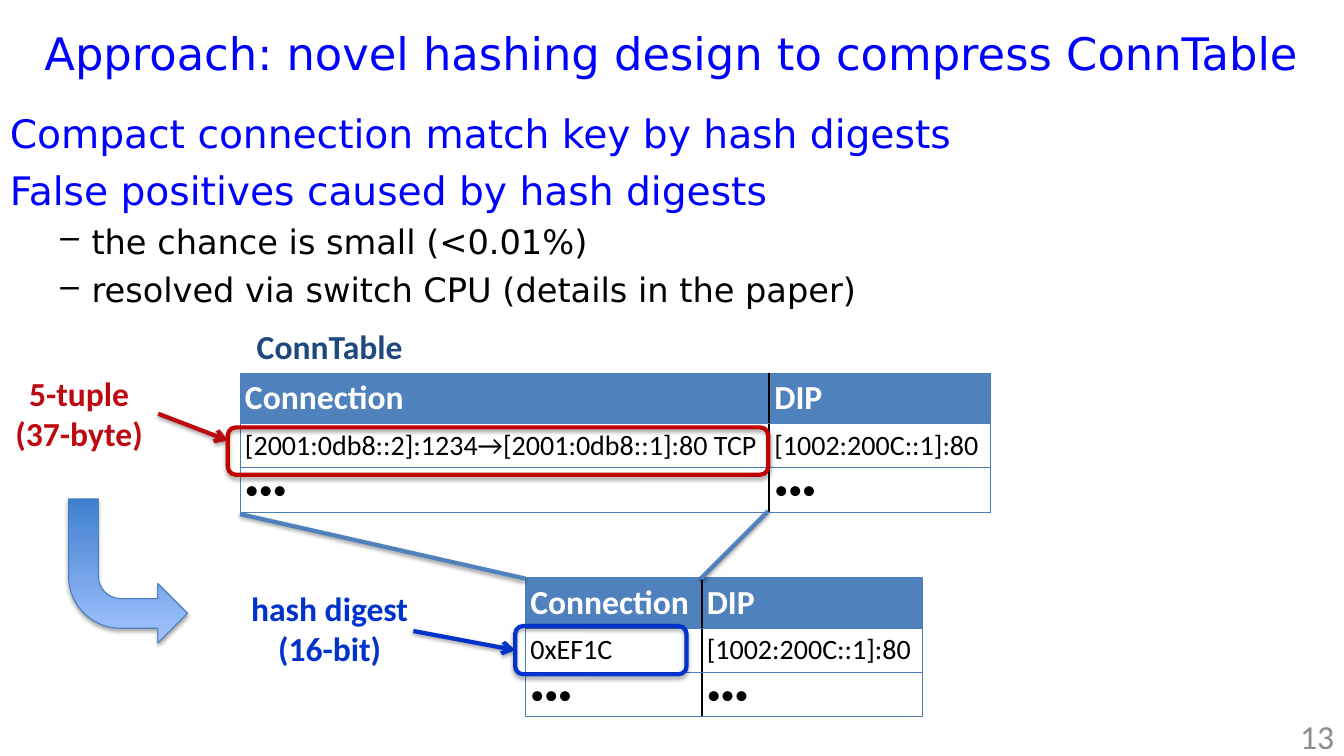
from lxml import etree
from pptx import Presentation
from pptx.dml.color import RGBColor
from pptx.enum.shapes import MSO_CONNECTOR, MSO_SHAPE
from pptx.enum.text import MSO_ANCHOR, PP_ALIGN
from pptx.oxml.ns import qn
from pptx.util import Inches, Pt

STRAIGHT = MSO_CONNECTOR.STRAIGHT
ROUNDED, BENT_ARROW = MSO_SHAPE.ROUNDED_RECTANGLE, MSO_SHAPE.BENT_ARROW
TOP, MIDDLE = MSO_ANCHOR.TOP, MSO_ANCHOR.MIDDLE
LEFT, CENTER, RIGHT = PP_ALIGN.LEFT, PP_ALIGN.CENTER, PP_ALIGN.RIGHT
LEFT_SIDE, RIGHT_SIDE = 1, 3

BLUE, RED, NAVY = "0033CC", "BD0A12", "1F497D"
HEADING, HEADER, BORDER = "0000FF", "4F81BD", "4B7EBC"
WHITE, BLACK, GRAY = "FFFFFF", "000000", "8C8C8C"
ROW_HEIGHTS = (0.5, 0.44, 0.44)
DIP_WIDTH = 2.19
DIP_CELLS = ("DIP", "[1002:200C::1]:80", "•••")


def rgb(color):
    return RGBColor.from_string(color)


def add_node(parent, tag, **attributes):
    node = etree.SubElement(parent, qn(tag))
    for name, value in attributes.items():
        node.set(name, str(value))
    return node


def add_color(parent, color):
    return add_node(parent, "a:srgbClr", val=color)


def write(para, text, size=24, font="Calibri", color=BLACK, bold=False,
          align=LEFT, before=0):
    para.alignment = align
    para.space_before = Pt(before)
    span = para.add_run()
    span.text = text
    span.font.size = Pt(size)
    span.font.name = font
    span.font.bold = bold
    span.font.color.rgb = rgb(color)


def add_dash(para):
    """Give a paragraph a hanging dash bullet."""
    properties = para._p.get_or_add_pPr()
    properties.set("marL", str(Inches(0.81)))
    properties.set("indent", str(Inches(-0.31)))
    add_node(properties, "a:buChar", char="–")


def add_text(shapes, place, lines, anchor=TOP, wrap=True, **style):
    box = shapes.add_textbox(*map(Inches, place))
    frame = box.text_frame
    frame.word_wrap = wrap
    frame.vertical_anchor = anchor
    for index, line in enumerate(lines):
        para = frame.add_paragraph() if index else frame.paragraphs[0]
        write(para, line, **style)
    return box


def add_points(page):
    frame = add_text(page.shapes, (0, 1.04, 13.33, 2.06),
                     ["Compact connection match key by hash digests"],
                     size=28, font="DejaVu Sans", color=HEADING).text_frame
    write(frame.add_paragraph(), "False positives caused by hash digests",
          size=28, font="DejaVu Sans", color=HEADING, before=6.5)
    for detail in ("the chance is small (<0.01%)",
                   "resolved via switch CPU (details in the paper)"):
        para = frame.add_paragraph()
        write(para, detail, font="DejaVu Sans", before=5.6)
        add_dash(para)


def add_shadow(shape, opacity, distance):
    effects = add_node(shape._element.spPr, "a:effectLst")
    shadow = add_node(effects, "a:outerShdw", blurRad=Pt(3.1),
                      dist=Pt(distance), dir=5400000, rotWithShape=0)
    add_node(add_color(shadow, BLACK), "a:alpha", val=opacity * 1000)


def add_line(shapes, start, end, color, arrow=False):
    line = shapes.add_connector(STRAIGHT, *map(Inches, start + end))
    line.line.color.rgb = rgb(color)
    line.line.width = Pt(3)
    if arrow:
        add_node(line.line._get_or_add_ln(), "a:tailEnd", type="arrow")
    add_shadow(line, 38, 1.6)
    return line


def add_frame(shapes, place, color):
    """Add a hollow rounded outline around a table cell."""
    frame = shapes.add_shape(ROUNDED, *map(Inches, place))
    frame.fill.background()
    frame.line.color.rgb = rgb(color)
    frame.line.width = Pt(3)
    add_shadow(frame, 35, 1.8)
    return frame


def set_borders(cell, column):
    divider = "a:lnL" if column else "a:lnR"
    for side in ("a:lnL", "a:lnR", "a:lnT", "a:lnB"):
        color, width = (BLACK, 1.5) if side == divider else (BORDER, 0.75)
        edge = add_node(cell._tc.get_or_add_tcPr(), side, w=Pt(width))
        add_color(add_node(edge, "a:solidFill"), color)


def fill_cell(cell, text, row, column):
    cell.margin_left = cell.margin_right = Inches(0.05)
    cell.margin_top = cell.margin_bottom = Inches(0.05)
    cell.vertical_anchor = TOP if column else MIDDLE
    set_borders(cell, column)
    cell.fill.solid()
    cell.fill.fore_color.rgb = rgb(WHITE if row else HEADER)
    write(cell.text_frame.paragraphs[0], text, size=20 if row else 24,
          color=BLACK if row else WHITE, bold=row == 0)


def add_conn_table(page, left, top, key_width, key):
    """Add a table that maps a connection key to its DIP."""
    widths = (key_width, DIP_WIDTH)
    place = (left, top, sum(widths), sum(ROW_HEIGHTS))
    table = page.shapes.add_table(3, 2, *map(Inches, place)).table
    table.horz_banding = False
    for column, width in zip(table.columns, widths):
        column.width = Inches(width)
    for row, height in zip(table.rows, ROW_HEIGHTS):
        row.height = Inches(height)
    for column, texts in enumerate((("Connection", key, "•••"), DIP_CELLS)):
        for row, text in enumerate(texts):
            fill_cell(table.cell(row, column), text, row, column)


def add_bent_arrow(page):
    arrow = page.shapes.add_shape(
        BENT_ARROW, *map(Inches, (0.68, 4.95, 1.18, 1.43)))
    arrow.rotation = 180
    arrow._element.spPr.xfrm.set("flipH", "1")
    arrow.fill.gradient()
    arrow.fill.gradient_angle = 90
    for stop, color in zip(arrow.fill.gradient_stops, ("3F80CE", "A4C4FF")):
        stop.color.rgb = rgb(color)
    arrow.line.color.rgb = rgb(BORDER)
    arrow.line.width = Pt(0.75)
    add_shadow(arrow, 35, 1.8)


def add_callouts(page):
    tuple_group = page.shapes.add_group_shape().shapes
    pointer = add_line(tuple_group, (1.57, 4.1), (2.26, 4.37), RED, arrow=True)
    label = add_text(tuple_group, (0, 3.65, 1.57, 0.91),
                     ["5-tuple", "(37-byte)"],
                     color=RED, bold=True, align=CENTER)
    pointer.begin_connect(label, RIGHT_SIDE)
    add_frame(tuple_group, (2.26, 4.24, 5.36, 0.47), "C00000")

    digest_group = page.shapes.add_group_shape().shapes
    pointer = add_line(digest_group, (4.1, 6.26), (5.11, 6.45), BLUE, arrow=True)
    add_text(digest_group, (2.21, 5.78, 2.12, 0.91),
             ["hash digest", "(16-bit)"],
             color=BLUE, bold=True, align=CENTER)
    frame = add_frame(digest_group, (5.11, 6.21, 1.7, 0.48), BLUE)
    pointer.end_connect(frame, LEFT_SIDE)


def main():
    deck = Presentation()
    deck.slide_width, deck.slide_height = Inches(13.33), Inches(7.5)
    page = deck.slides.add_slide(deck.slide_layouts[6])

    add_points(page)
    add_text(page.shapes, (0, 0, 13.33, 1.04),
             ["Approach: novel hashing design to compress ConnTable"],
             anchor=MIDDLE, size=32, font="DejaVu Sans", color=HEADING,
             align=CENTER)
    add_text(page.shapes, (10.22, 7.1, 3.11, 0.4), ["13"], anchor=MIDDLE,
             color=GRAY, align=RIGHT)
    add_conn_table(page, 5.21, 5.73, 1.75, "0xEF1C")
    add_conn_table(page, 2.38, 3.7, 5.25,
                   "[2001:0db8::2]:1234→[2001:0db8::1]:80 TCP")
    add_line(page.shapes, (2.38, 5.1), (5.21, 5.74), HEADER)
    add_line(page.shapes, (7.62, 5.07), (6.95, 5.74), HEADER)
    add_bent_arrow(page)
    add_text(page.shapes, (2.44, 3.18, 1.66, 0.5), ["ConnTable"], wrap=False,
             color=NAVY, bold=True, align=CENTER)
    add_callouts(page)
    deck.save("out.pptx")


if __name__ == "__main__":
    main()
